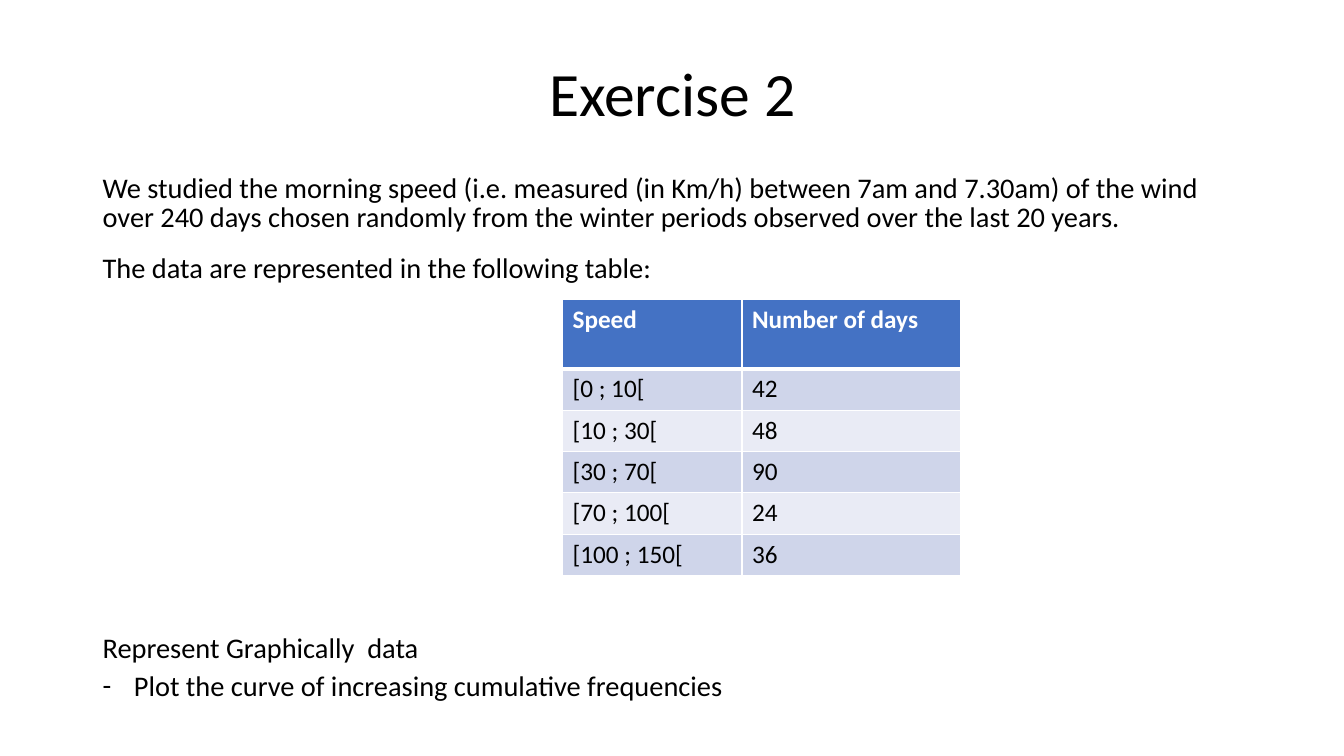
from lxml import etree
from pptx import Presentation
from pptx.dml.color import RGBColor
from pptx.enum.text import MSO_ANCHOR, PP_ALIGN
from pptx.oxml.ns import qn
from pptx.util import Inches, Pt

# Content
TITLE = "Exercise 2"
INTRO = [
    "We studied the morning speed (i.e. measured (in Km/h) between 7am and 7.30am) "
    "of the wind over 240 days chosen randomly from the winter periods observed "
    "over the last 20 years.",
    "The data are represented in the following table:",
]
TASKS = ["Represent Graphically  data", "Plot the curve of increasing cumulative frequencies"]
WIND_SPEEDS = [
    ("Speed", "Number of days"),
    ("[0 ; 10[", "42"),
    ("[10 ; 30[", "48"),
    ("[30 ; 70[", "90"),
    ("[70 ; 100[", "24"),
    ("[100 ; 150[", "36"),
]

# Style
FONT = "Calibri"
BLACK = RGBColor(0x00, 0x00, 0x00)
WHITE = RGBColor(0xFF, 0xFF, 0xFF)
HEADER_BLUE = RGBColor(0x44, 0x72, 0xC4)
BANDS = [RGBColor(0xE9, 0xEB, 0xF5), RGBColor(0xCF, 0xD5, 0xEA)]
LEFT, WIDTH = 0.92, 11.5
COLUMN_WIDTHS = [1.78, 2.17]
HEADER_HEIGHT, ROW_HEIGHT = 0.69, 0.41


def format_font(paragraph, size, color=BLACK, bold=False):
    for run in paragraph.runs:
        font = run.font
        font.name, font.size, font.bold = FONT, Pt(size), bold
        font.color.rgb = color


def add_text(slide, lines, top, height, size, line_spacing, gap=0):
    frame = slide.shapes.add_textbox(
        Inches(LEFT), Inches(top), Inches(WIDTH), Inches(height)).text_frame
    frame.word_wrap = True
    frame.text = "\n".join(lines)
    for index, paragraph in enumerate(frame.paragraphs):
        paragraph.line_spacing = line_spacing
        paragraph.space_before = Pt(gap if index else 0)
        format_font(paragraph, size)
    return frame


def add_dash(paragraph, indent):
    properties = paragraph._p.get_or_add_pPr()
    properties.set("marL", str(Inches(indent)))
    properties.set("indent", str(-Inches(indent)))
    etree.SubElement(properties, qn("a:buFont"), typeface=FONT)
    etree.SubElement(properties, qn("a:buChar"), char="-")


def add_borders(cell, widths):
    properties = cell._tc.get_or_add_tcPr()
    for position, (side, width) in enumerate(widths.items()):
        line = etree.Element(qn(f"a:ln{side}"), w=str(Pt(width)))
        fill = etree.SubElement(line, qn("a:solidFill"))
        etree.SubElement(fill, qn("a:srgbClr"), val=str(WHITE))
        properties.insert(position, line)


presentation = Presentation()
presentation.slide_width = Inches(13.33)
presentation.slide_height = Inches(7.5)
slide = presentation.slides.add_slide(presentation.slide_layouts[6])

# Title
title = add_text(slide, [TITLE], 0.23, 1.45, 44, 0.9)
title.vertical_anchor = MSO_ANCHOR.MIDDLE
title.paragraphs[0].alignment = PP_ALIGN.CENTER

# Introduction and tasks
add_text(slide, INTRO, 1.68, 1.25, 20.3, 0.87, gap=15)
tasks = add_text(slide, TASKS, 6.25, 0.8, 20.3, 0.87, gap=6)
add_dash(tasks.paragraphs[1], 0.31)

# Wind speed table
heights = [HEADER_HEIGHT] + [ROW_HEIGHT] * (len(WIND_SPEEDS) - 1)
table = slide.shapes.add_table(
    len(WIND_SPEEDS), len(COLUMN_WIDTHS), Inches(5.58), Inches(2.97),
    Inches(sum(COLUMN_WIDTHS)), Inches(sum(heights))).table
for column, width in zip(table.columns, COLUMN_WIDTHS):
    column.width = Inches(width)
for row_index, (values, height) in enumerate(zip(WIND_SPEEDS, heights)):
    table.rows[row_index].height = Inches(height)
    is_header = row_index == 0
    for column_index, value in enumerate(values):
        cell = table.cell(row_index, column_index)
        cell.text = value
        cell.fill.solid()
        cell.fill.fore_color.rgb = HEADER_BLUE if is_header else BANDS[row_index % 2]
        format_font(cell.text_frame.paragraphs[0], 18, WHITE if is_header else BLACK, is_header)
        add_borders(cell, {"L": 1, "R": 1, "T": 3 if row_index == 1 else 1,
                           "B": 3 if is_header else 1})

presentation.save("out.pptx")
